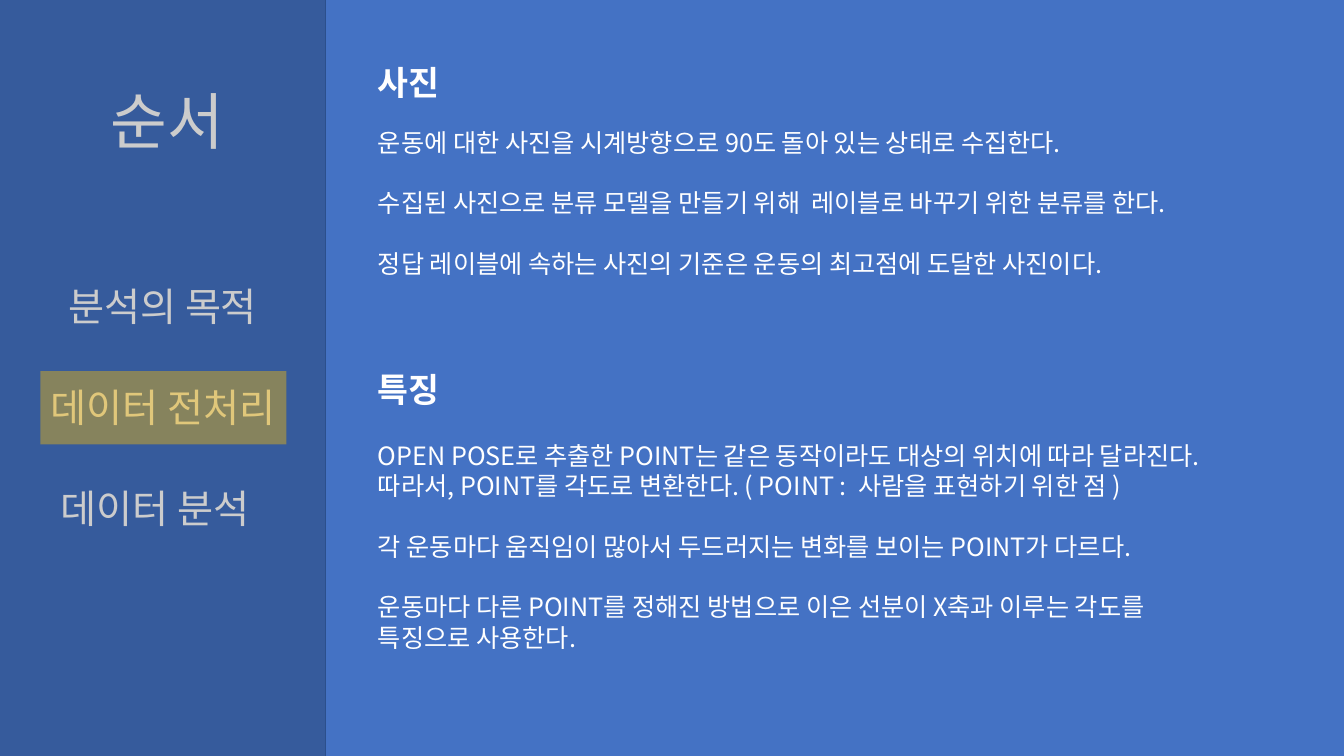
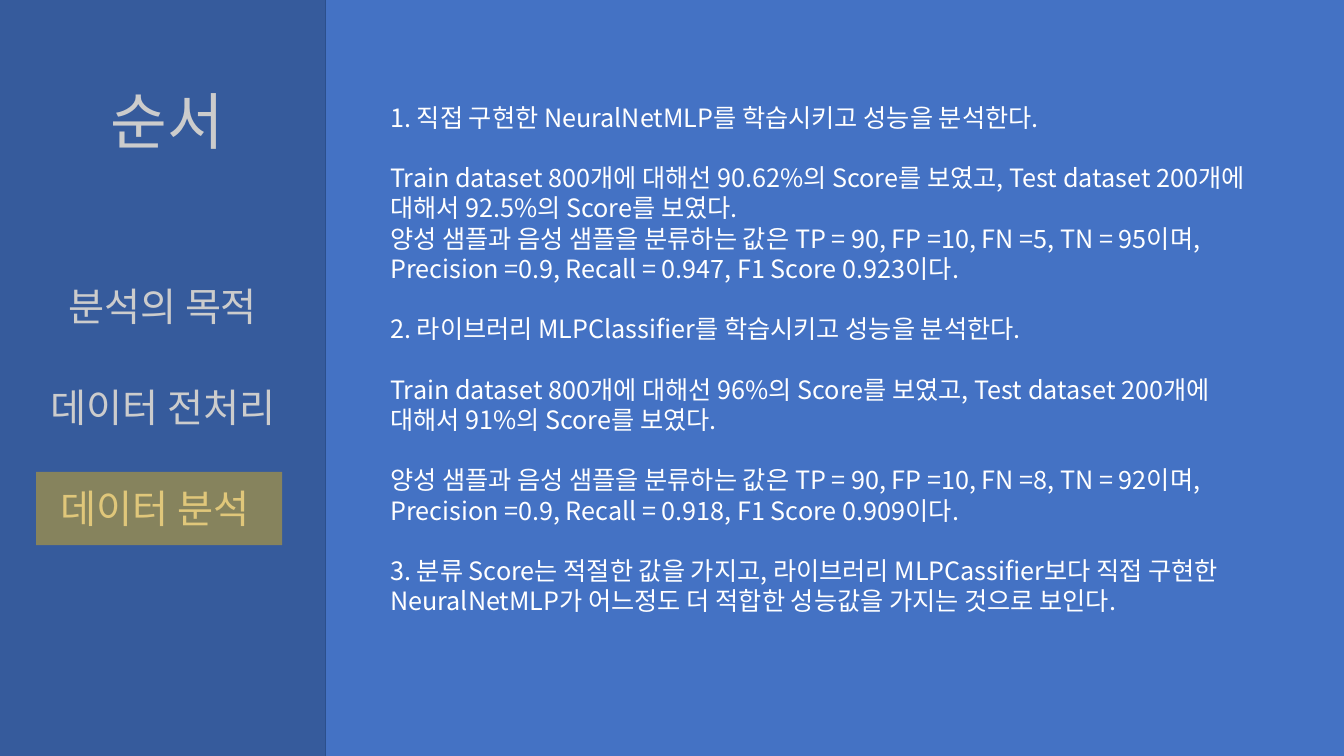
from dataclasses import dataclass

import pptx
import pptx.dml.color
import pptx.enum.shapes
import pptx.enum.text
import pptx.oxml.ns
import pptx.util
from lxml import etree
from pptx.util import Cm


@dataclass(frozen=True)
class Theme:
    font: str = "Noto Sans CJK KR"
    background: str = "4472C4"
    text: str = "FFFFFF"
    divider: str = "2F5597"
    shade: str = "000000"
    highlight: str = "FFC000"
    title_size: int = 44
    menu_size: int = 28
    heading_size: int = 24
    body_size: int = 18
    line_height: float = 1.2


THEME = Theme()
WIDTH, HEIGHT = 33.87, 19.05
SIDEBAR = 8.2
MENU_TOP, MENU_STEP, MENU_HEIGHT = 6.99, 2.54, 1.45
BAND_WIDTH, BAND_HEIGHT, BAND_RISE = 6.2, 1.85, 0.18

COMPARISON, TITLE_AND_CONTENT = 4, 1
TITLE = "순서"
MENU = [("분석의 목적", 1.47), ("데이터 전처리", 1.02), ("데이터 분석", 1.27)]

SLIDES = [
    {
        "layout": COMPARISON,
        "active": 1,
        "band_left": 1.02,
        "blocks": [
            {"box": (9.27, 1.42, 23.16, 1.27), "heading": True, "groups": [["사진"]]},
            {"box": (9.27, 3.07, 23.16, 4.11), "groups": [
                ["운동에 대한 사진을 시계방향으로 90도 돌아 있는 상태로 수집한다."],
                ["수집된 사진으로 분류 모델을 만들기 위해  레이블로 바꾸기 위한 분류를 한다."],
                ["정답 레이블에 속하는 사진의 기준은 운동의 최고점에 도달한 사진이다."],
            ]},
            {"box": (9.27, 9.17, 23.16, 1.27), "heading": True, "groups": [["특징"]]},
            {"box": (9.27, 10.97, 23.16, 5.64), "groups": [
                ["OPEN POSE로 추출한 POINT는 같은 동작이라도 대상의 위치에 따라 달라진다.",
                 "따라서, POINT를 각도로 변환한다. ( POINT :  사람을 표현하기 위한 점 )"],
                ["각 운동마다 움직임이 많아서 두드러지는 변화를 보이는 POINT가 다르다."],
                ["운동마다 다른 POINT를 정해진 방법으로 이은 선분이 X축과 이루는 각도를",
                 "특징으로 사용한다."],
            ]},
        ],
    },
    {
        "layout": TITLE_AND_CONTENT,
        "active": 2,
        "band_left": 0.91,
        "blocks": [
            {"box": (9.58, 2.44, 22.43, 15.52), "groups": [
                ["1. 직접 구현한 NeuralNetMLP를 학습시키고 성능을 분석한다."],
                ["Train dataset 800개에 대해선 90.62%의 Score를 보였고, "
                 "Test dataset 200개에 대해서 92.5%의 Score를 보였다.",
                 "양성 샘플과 음성 샘플을 분류하는 값은 TP = 90, FP =10, FN =5, TN = 95이며, "
                 "Precision =0.9, Recall = 0.947, F1 Score 0.923이다."],
                ["2. 라이브러리 MLPClassifier를 학습시키고 성능을 분석한다."],
                ["Train dataset 800개에 대해선 96%의 Score를 보였고, "
                 "Test dataset 200개에 대해서 91%의 Score를 보였다."],
                ["양성 샘플과 음성 샘플을 분류하는 값은 TP = 90, FP =10, FN =8, TN = 92이며, "
                 "Precision =0.9, Recall = 0.918, F1 Score 0.909이다."],
                ["3. 분류 Score는 적절한 값을 가지고, 라이브러리 MLPCassifier보다 직접 구현한 "
                 "NeuralNetMLP가 어느정도 더 적합한 성능값을 가지는 것으로 보인다."],
            ]},
        ],
    },
]


def rgb(value):
    return pptx.dml.color.RGBColor.from_string(value)


def add_tag(parent, tag, **attributes):
    return etree.SubElement(parent, pptx.oxml.ns.qn(tag), attributes)


def format_paragraph(p, size, bold=False, gap=False):
    line = pptx.util.Pt(round(size * THEME.line_height, 1))
    p.alignment = pptx.enum.text.PP_ALIGN.LEFT
    p.line_spacing = line
    p.space_before = line if gap else pptx.util.Pt(0)
    p.space_after = pptx.util.Pt(0)
    properties = p._p.get_or_add_pPr()
    properties.set("marL", "0")
    properties.set("indent", "0")
    add_tag(properties, "a:buNone")
    p.font.size = pptx.util.Pt(size)
    p.font.bold = bold
    p.font.color.rgb = rgb(THEME.text)
    p.font.name = THEME.font
    add_tag(p.font._element, "a:ea", typeface=THEME.font)


def fill_text(sp, box, groups, size, bold=False):
    sp.left, sp.top, sp.width, sp.height = map(Cm, box)
    tf = sp.text_frame
    tf.word_wrap = True
    tf.auto_size = pptx.enum.text.MSO_AUTO_SIZE.NONE
    tf.vertical_anchor = pptx.enum.text.MSO_ANCHOR.TOP
    lines = [(text, g > 0 and i == 0)
             for g, group in enumerate(groups) for i, text in enumerate(group)]
    for n, (text, gap) in enumerate(lines):
        p = tf.add_paragraph() if n else tf.paragraphs[0]
        p.text = text
        format_paragraph(p, size, bold, gap)


def add_veil(s, box, color, opacity):
    sp = s.shapes.add_shape(pptx.enum.shapes.MSO_SHAPE.RECTANGLE, *map(Cm, box))
    sp.shadow.inherit = False
    sp.line.fill.background()
    sp.fill.solid()
    sp.fill.fore_color.rgb = rgb(color)
    color_tag = sp._element.spPr.find(".//" + pptx.oxml.ns.qn("a:srgbClr"))
    add_tag(color_tag, "a:alpha", val=str(opacity * 1000))


def add_sidebar(s, active, band_left):
    divider = s.shapes.add_connector(
        pptx.enum.shapes.MSO_CONNECTOR.STRAIGHT, Cm(SIDEBAR), Cm(0), Cm(SIDEBAR), Cm(HEIGHT))
    divider.line.color.rgb = rgb(THEME.divider)
    divider.line.width = pptx.util.Pt(1)
    add_tag(divider._element.spPr, "a:effectLst")

    fill_text(s.shapes.title, (2.54, 1.96, 4, 2.13), [[TITLE]], THEME.title_size)
    for i, (label, left) in enumerate(MENU):
        box = (left, MENU_TOP + i * MENU_STEP, SIDEBAR - left, MENU_HEIGHT)
        fill_text(s.shapes.add_textbox(0, 0, 0, 0), box, [[label]], THEME.menu_size)

    add_veil(s, (0, 0, SIDEBAR, HEIGHT), THEME.shade, 20)
    band_top = MENU_TOP + active * MENU_STEP - BAND_RISE
    add_veil(s, (band_left, band_top, BAND_WIDTH, BAND_HEIGHT), THEME.highlight, 40)


def add_slide(prs, content):
    s = prs.slides.add_slide(prs.slide_layouts[content["layout"]])
    add_sidebar(s, content["active"], content["band_left"])
    bodies = [sp for sp in s.placeholders if sp.placeholder_format.idx > 0]
    for sp, block in zip(bodies, content["blocks"]):
        heading = block.get("heading", False)
        size = THEME.heading_size if heading else THEME.body_size
        fill_text(sp, block["box"], block["groups"], size, heading)


def main():
    prs = pptx.Presentation()
    prs.slide_width, prs.slide_height = Cm(WIDTH), Cm(HEIGHT)
    fill = prs.slide_master.background.fill
    fill.solid()
    fill.fore_color.rgb = rgb(THEME.background)
    for content in SLIDES:
        add_slide(prs, content)
    prs.save("out.pptx")


if __name__ == "__main__":
    main()
